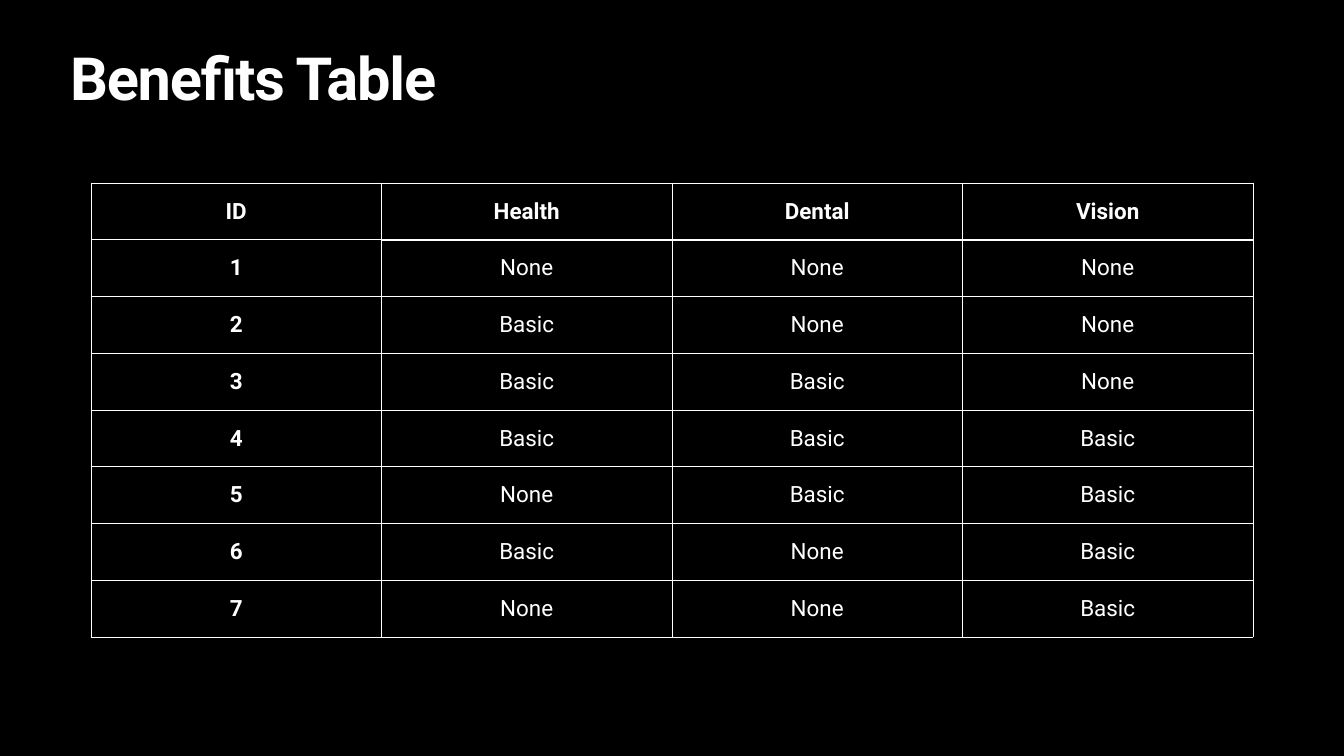
from lxml.etree import SubElement
from pptx import Presentation
from pptx.dml.color import RGBColor
from pptx.enum.text import MSO_ANCHOR, PP_ALIGN
from pptx.oxml.ns import qn
from pptx.util import Pt

TITLE = "Benefits Table"
BENEFITS = [
    ("ID", "Health", "Dental", "Vision"),
    ("1", "None", "None", "None"),
    ("2", "Basic", "None", "None"),
    ("3", "Basic", "Basic", "None"),
    ("4", "Basic", "Basic", "Basic"),
    ("5", "None", "Basic", "Basic"),
    ("6", "Basic", "None", "Basic"),
    ("7", "None", "None", "Basic"),
]

BLACK = RGBColor(0x00, 0x00, 0x00)
WHITE = RGBColor(0xFF, 0xFF, 0xFF)
FONT = "Roboto"
THIN, THICK = Pt(1), Pt(3)

EMU_PER_PX = 914400 / 50.4
SLIDE_SIZE = (1344, 756)
TITLE_BOX = (67, 52, 1211, 79)
TABLE_BOX = (91, 183, 1162, 454)
INSET = 3


def px(length):
    return round(length * EMU_PER_PX)


def set_insets(holder):
    """Give a text frame or a table cell the same inset on all sides."""
    holder.margin_left = holder.margin_right = px(INSET)
    holder.margin_top = holder.margin_bottom = px(INSET)


def style_font(font, size, bold):
    font.name = FONT
    font.size = Pt(size)
    font.bold = bold
    font.color.rgb = WHITE


def set_borders(cell, top, bottom):
    """Draw white borders; only the top and bottom widths vary."""
    properties = cell._tc.get_or_add_tcPr()
    for side, width in (("L", THIN), ("R", THIN), ("T", top), ("B", bottom)):
        line = SubElement(properties, qn(f"a:ln{side}"), w=str(width))
        fill = SubElement(line, qn("a:solidFill"))
        SubElement(fill, qn("a:srgbClr"), val=str(WHITE))


def add_title(slide):
    frame = slide.shapes.add_textbox(*map(px, TITLE_BOX)).text_frame
    frame.word_wrap = True
    set_insets(frame)
    heading = frame.paragraphs[0]
    heading.line_spacing = 0.8
    run = heading.add_run()
    run.text = TITLE
    style_font(run.font, 85, True)
    run.font._element.set("spc", "-170")


def add_benefits(slide):
    table = slide.shapes.add_table(
        len(BENEFITS), len(BENEFITS[0]), *map(px, TABLE_BOX)).table
    table.first_row = table.horz_banding = False
    for r, record in enumerate(BENEFITS):
        for c, value in enumerate(record):
            cell = table.cell(r, c)
            cell.text = value
            cell.vertical_anchor = MSO_ANCHOR.MIDDLE
            set_insets(cell)
            # The rule under the header is heavy except below "ID".
            set_borders(cell,
                        top=THICK if r == 1 and c > 0 else THIN,
                        bottom=THICK if r == 0 and c > 0 else THIN)
            cell.fill.background()
            entry = cell.text_frame.paragraphs[0]
            entry.alignment = PP_ALIGN.CENTER
            style_font(entry.font, 32, r == 0 or c == 0)


def main():
    deck = Presentation()
    deck.slide_width, deck.slide_height = map(px, SLIDE_SIZE)
    slide = deck.slides.add_slide(deck.slide_layouts[6])
    slide.background.fill.solid()
    slide.background.fill.fore_color.rgb = BLACK
    add_title(slide)
    add_benefits(slide)
    deck.save("out.pptx")


if __name__ == "__main__":
    main()
